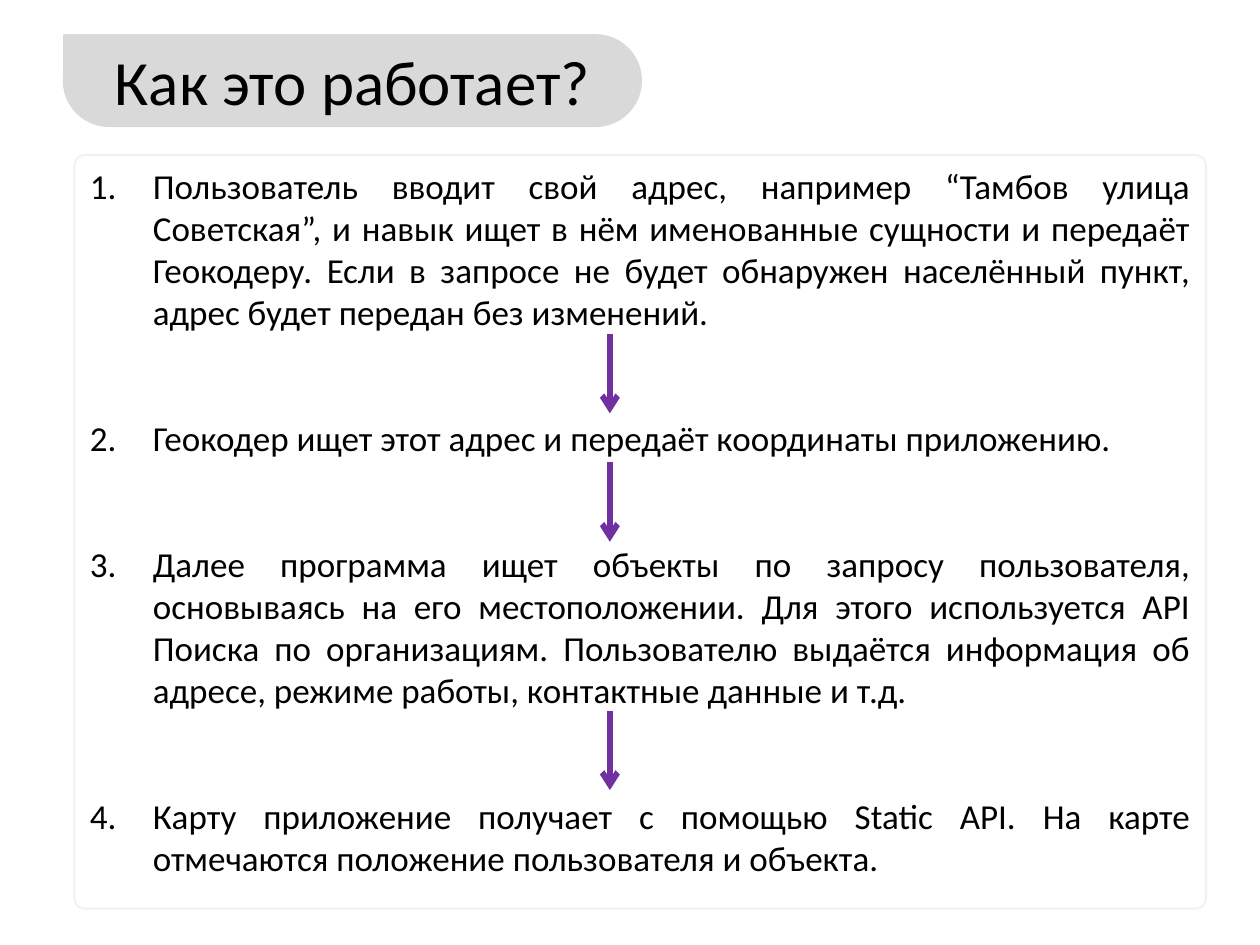
from lxml.etree import SubElement
from pptx import Presentation
from pptx.dml.color import RGBColor
from pptx.enum.shapes import MSO_CONNECTOR, MSO_SHAPE
from pptx.enum.text import MSO_ANCHOR, MSO_AUTO_SIZE, PP_ALIGN
from pptx.oxml.ns import qn
from pptx.util import Pt

HUES = {"ink": "000000", "tab": "D9D9D9", "edge": "F2F2F2", "arrow": "7030A0"}
TITLE = "Как это работает?"
STEPS = [
    "Пользователь вводит свой адрес, например “Тамбов улица Советская”, "
    "и навык ищет в нём именованные сущности и передаёт Геокодеру. "
    "Если в запросе не будет обнаружен населённый пункт, "
    "адрес будет передан без изменений.",
    "Геокодер ищет этот адрес и передаёт координаты приложению.",
    "Далее программа ищет объекты по запросу пользователя, "
    "основываясь на его местоположении. Для этого используется API "
    "Поиска по организациям. Пользователю выдаётся информация об адресе, "
    "режиме работы, контактные данные и т.д.",
    "Карту приложение получает с помощью Static API. "
    "На карте отмечаются положение пользователя и объекта.",
]
TAB_X, TAB_Y, TAB_W, TAB_H = 36.9, 20.5, 329, 51.1
ARROW_X, ARROW_LEN = 348.5, 45.4
ARROW_TOPS = [190.8, 264.2, 406.1]


def hue(name):
    """Return the named colour."""
    return RGBColor.from_string(HUES[name])


def add_box(slide, kind, box, fill, line, width):
    """Add a flat preset shape."""
    shape = slide.shapes.add_shape(kind, *map(Pt, box))
    shape.shadow.inherit = False
    if fill:
        shape.fill.solid()
        shape.fill.fore_color.rgb = hue(fill)
    else:
        shape.fill.background()
    shape.line.color.rgb = hue(line)
    shape.line.width = Pt(width)
    return shape


def add_run(para, text, size):
    """Add one run of text to a paragraph."""
    run = para.add_run()
    run.text = text
    run.font.size = Pt(size)
    run.font.name = "Calibri"
    run.font.color.rgb = hue("ink")


def add_title(slide):
    """Set the title on a pill with a square top left corner."""
    add_box(slide, MSO_SHAPE.RECTANGLE, (TAB_X, TAB_Y, 39.6, 28), "tab", "tab", 2)
    pill = add_box(slide, MSO_SHAPE.ROUNDED_RECTANGLE,
                   (TAB_X, TAB_Y, TAB_W, TAB_H), "tab", "tab", 2)
    pill.adjustments[0] = 0.5
    title = slide.shapes.title
    title.left, title.top = Pt(TAB_X), Pt(TAB_Y)
    title.width, title.height = Pt(TAB_W), Pt(TAB_H)
    slide.shapes.element.append(title.element)
    frame = title.text_frame
    frame.auto_size = MSO_AUTO_SIZE.NONE
    frame.vertical_anchor = MSO_ANCHOR.MIDDLE
    para = frame.paragraphs[0]
    para.alignment = PP_ALIGN.CENTER
    add_run(para, TITLE, 36)


def add_steps(slide):
    """Add the framed list of numbered steps."""
    panel = add_box(slide, MSO_SHAPE.ROUNDED_RECTANGLE,
                    (42.5, 88.6, 646.6, 430.6), None, "edge", 1.25)
    panel.adjustments[0] = 0.014
    frame = panel.text_frame
    frame.word_wrap = True
    frame.vertical_anchor = MSO_ANCHOR.TOP
    for i, text in enumerate(STEPS):
        para = frame.paragraphs[0] if i == 0 else frame.add_paragraph()
        para.alignment = PP_ALIGN.JUSTIFY
        para.space_before = Pt(48 if i else 0)
        props = para._p.get_or_add_pPr()
        props.set("marL", str(Pt(36)))
        props.set("indent", str(-Pt(36)))
        SubElement(props, qn("a:buFont"), typeface="+mj-lt")
        SubElement(props, qn("a:buAutoNum"), type="arabicPeriod")
        add_run(para, text, 20)


def add_arrow(slide, top):
    """Add a downward arrow between two steps."""
    arrow = slide.shapes.add_connector(
        MSO_CONNECTOR.STRAIGHT, Pt(ARROW_X), Pt(top), Pt(ARROW_X), Pt(top + ARROW_LEN))
    arrow.line.color.rgb = hue("arrow")
    arrow.line.width = Pt(3.25)
    SubElement(arrow.line._get_or_add_ln(), qn("a:tailEnd"), type="arrow")
    SubElement(arrow.element.spPr, qn("a:effectLst"))


def main():
    """Build and save the slide."""
    deck = Presentation()
    deck.slide_width, deck.slide_height = Pt(720), Pt(540)
    slide = deck.slides.add_slide(deck.slide_layouts[5])
    add_steps(slide)
    add_title(slide)
    for top in ARROW_TOPS:
        add_arrow(slide, top)
    deck.save("out.pptx")


if __name__ == "__main__":
    main()
